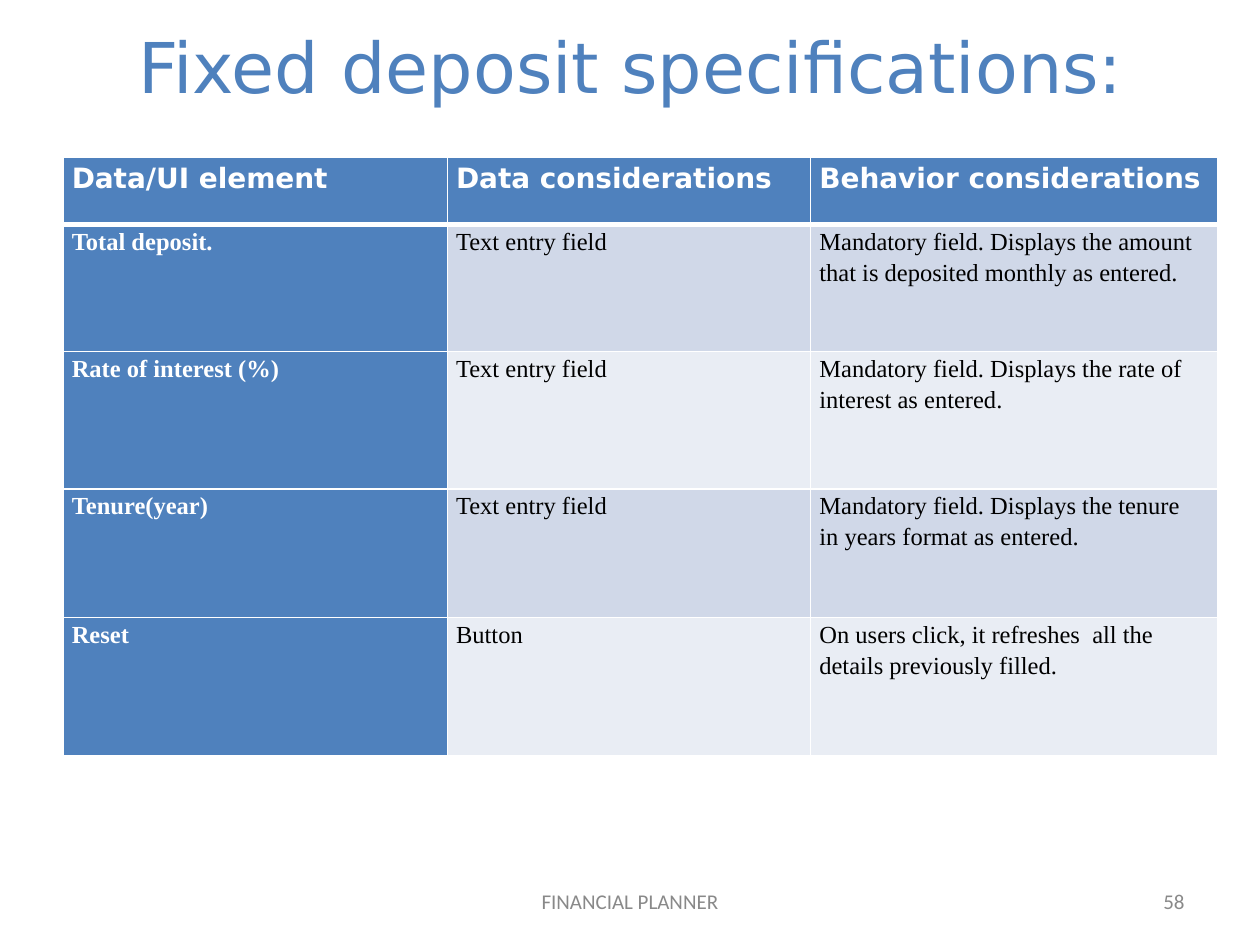
import dataclasses

import pptx
import pptx.dml.color
import pptx.enum.text
import pptx.oxml
import pptx.oxml.ns
import pptx.util

ALIGN = pptx.enum.text.PP_ALIGN
ANCHOR = pptx.enum.text.MSO_ANCHOR

GRID_COLUMNS, GRID_ROWS = 120, 90
SLIDE_WIDTH = pptx.util.Inches(10)
SLIDE_HEIGHT = pptx.util.Inches(7.5)

COLORS = {
    "accent": "4F81BD",
    "dark band": "D0D8E8",
    "light band": "E9EDF4",
    "white": "FFFFFF",
    "black": "000000",
    "footer": "898989",
}


@dataclasses.dataclass(frozen=True)
class Box:
    column: float
    row: float
    columns: float
    rows: float


@dataclasses.dataclass(frozen=True)
class TextStyle:
    font: str
    size: int
    color: str
    bold: bool = False


@dataclasses.dataclass(frozen=True)
class Footer:
    text: str
    box: Box
    alignment: ALIGN


@dataclasses.dataclass(frozen=True)
class Specification:
    element: str
    data: str
    behavior: tuple[str, ...]
    height: float


TITLE_BOX = Box(11, 0, 104, 13)
TABLE_BOX = Box(6, 15, 110, 57)
COLUMN_WIDTHS = (36.6, 34.6, 38.8)
HEADINGS = ("Data/UI element", "Data considerations", "Behavior considerations")
HEADER_HEIGHT = 6.36

TITLE_STYLE = TextStyle("DejaVu Sans", 40, "accent")
HEADING_STYLE = TextStyle("DejaVu Sans", 16, "white", True)
ELEMENT_STYLE = TextStyle("Times New Roman", 14, "white", True)
DETAIL_STYLE = TextStyle("Times New Roman", 14, "black")
FOOTER_STYLE = TextStyle("Calibri", 12, "footer")

SPECIFICATIONS = (
    Specification("Total deposit.", "Text entry field",
                  ("Mandatory field. Displays the amount that is deposited monthly as entered.",),
                  12.12),
    Specification("Rate of interest (%)", "Text entry field",
                  ("Mandatory field. Displays the rate of", "interest as entered."), 13.08),
    Specification("Tenure(year)", "Text entry field",
                  ("Mandatory field. Displays the tenure", "in years format as entered."), 12.24),
    Specification("Reset", "Button",
                  ("On users click, it refreshes  all the", "details previously filled."), 13.2),
)

FOOTERS = (
    Footer("FINANCIAL PLANNER", Box(41, 83.4, 38, 4.8), ALIGN.CENTER),
    Footer("58", Box(86, 83.4, 28, 4.8), ALIGN.RIGHT),
)


def across(columns: float) -> int:
    return round(SLIDE_WIDTH * columns / GRID_COLUMNS)


def down(rows: float) -> int:
    return round(SLIDE_HEIGHT * rows / GRID_ROWS)


def place(box: Box) -> tuple[int, int, int, int]:
    return across(box.column), down(box.row), across(box.columns), down(box.rows)


def rgb(name: str) -> pptx.dml.color.RGBColor:
    return pptx.dml.color.RGBColor.from_string(COLORS[name])


def add_run(paragraph, text: str, style: TextStyle) -> None:
    run = paragraph.add_run()
    run.text = text
    run.font.name = style.font
    run.font.size = pptx.util.Pt(style.size)
    run.font.bold = style.bold
    run.font.color.rgb = rgb(style.color)


def add_border(cell, side: str, points: float) -> None:
    cell_properties = cell._tc.get_or_add_tcPr()
    cell_properties.append(pptx.oxml.parse_xml(
        f'<a:ln{side} {pptx.oxml.ns.nsdecls("a")} w="{pptx.util.Pt(points)}">'
        f'<a:solidFill><a:srgbClr val="{COLORS["white"]}"/></a:solidFill></a:ln{side}>'))


def fill_cell(cell, lines: tuple[str, ...], style: TextStyle, fill: str,
              top: float = 1, bottom: float = 1) -> None:
    for side, points in (("L", 1), ("R", 1), ("T", top), ("B", bottom)):
        add_border(cell, side, points)
    cell.fill.solid()
    cell.fill.fore_color.rgb = rgb(fill)
    cell.margin_left = cell.margin_right = pptx.util.Inches(0.07)
    cell.margin_top = cell.margin_bottom = 0
    for index, line in enumerate(lines):
        frame = cell.text_frame
        paragraph = frame.add_paragraph() if index else frame.paragraphs[0]
        paragraph.line_spacing = 1.15
        add_run(paragraph, line, style)


def add_title(slide) -> None:
    title = slide.shapes.title
    title.left, title.top, title.width, title.height = place(TITLE_BOX)
    frame = title.text_frame
    frame.vertical_anchor = ANCHOR.TOP
    frame.auto_size = pptx.enum.text.MSO_AUTO_SIZE.NONE
    frame.margin_left = pptx.util.Inches(0.18)
    frame.margin_top = pptx.util.Inches(0.19)
    frame.margin_right = frame.margin_bottom = 0
    paragraph = frame.paragraphs[0]
    paragraph.alignment = ALIGN.LEFT
    add_run(paragraph, "Fixed deposit specifications:", TITLE_STYLE)


def add_specifications(slide) -> None:
    table = slide.shapes.add_table(
        len(SPECIFICATIONS) + 1, len(HEADINGS), *place(TABLE_BOX)).table
    for column, width in zip(table.columns, COLUMN_WIDTHS):
        column.width = across(width)
    heights = [HEADER_HEIGHT] + [item.height for item in SPECIFICATIONS]
    for row, height in zip(table.rows, heights):
        row.height = down(height)
    for index, heading in enumerate(HEADINGS):
        fill_cell(table.cell(0, index), (heading,), HEADING_STYLE, "accent", bottom=3)
    for row, item in enumerate(SPECIFICATIONS, start=1):
        band = "dark band" if row % 2 else "light band"
        top = 3 if row == 1 else 1
        fill_cell(table.cell(row, 0), (item.element,), ELEMENT_STYLE, "accent", top)
        fill_cell(table.cell(row, 1), (item.data,), DETAIL_STYLE, band, top)
        fill_cell(table.cell(row, 2), item.behavior, DETAIL_STYLE, band, top)


def add_footer(slide, footer: Footer) -> None:
    frame = slide.shapes.add_textbox(*place(footer.box)).text_frame
    frame.word_wrap = True
    frame.vertical_anchor = ANCHOR.MIDDLE
    paragraph = frame.paragraphs[0]
    paragraph.alignment = footer.alignment
    add_run(paragraph, footer.text, FOOTER_STYLE)


def main() -> None:
    presentation = pptx.Presentation()
    presentation.slide_width = SLIDE_WIDTH
    presentation.slide_height = SLIDE_HEIGHT
    slide = presentation.slides.add_slide(presentation.slide_layouts[5])
    add_title(slide)
    add_specifications(slide)
    for footer in FOOTERS:
        add_footer(slide, footer)
    presentation.save("out.pptx")


if __name__ == "__main__":
    main()
